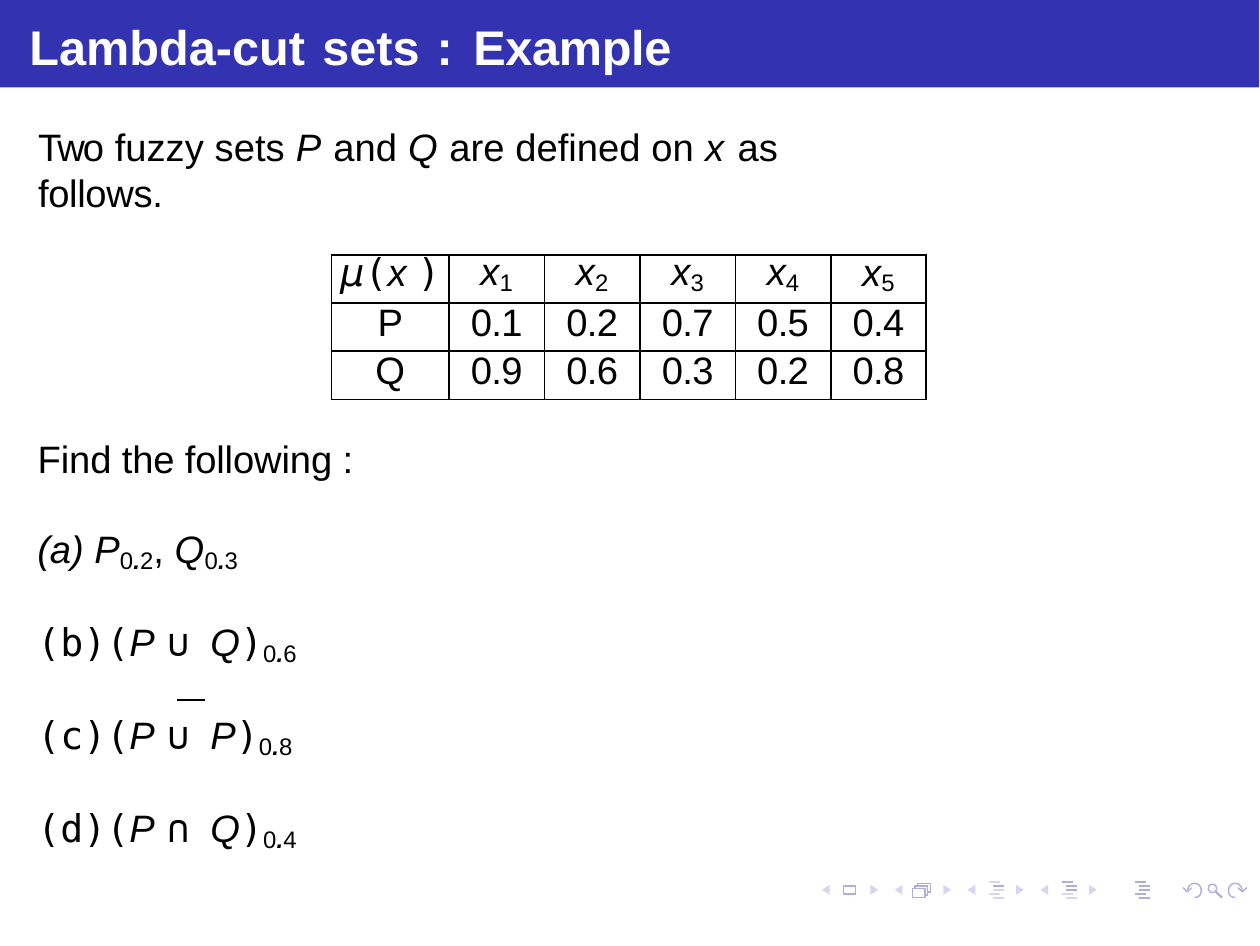
import pptx
import pptx.dml.color
import pptx.enum.shapes
import pptx.enum.text
import pptx.oxml
import pptx.oxml.ns
import pptx.util

Pt = pptx.util.Pt
RGBColor = pptx.dml.color.RGBColor

BLACK = RGBColor(0, 0, 0)
WHITE = RGBColor(255, 255, 255)
HEADER_BLUE = RGBColor(0x33, 0x33, 0xB2)
ICON_DARK = RGBColor(0xAD, 0xAD, 0xE0)
ICON_LIGHT = RGBColor(0xD6, 0xD6, 0xEF)
MONO = "DejaVu Sans Mono"
NAVIGATION_STEP = 21

MEMBERSHIP = [
    ("P", "0.1", "0.2", "0.7", "0.5", "0.4"),
    ("Q", "0.9", "0.6", "0.3", "0.2", "0.8"),
]
CUTS = [("P", "∪ ", "Q", "0.6"), ("P", "∪ ", "P", "0.8"), ("P", "∩ ", "Q", "0.4")]
TITLE = [("Lambda-cut", 0), (" ", 0.9), ("sets", 0), (" ", 0.9), (":", 0), (" ", 2),
         ("Example", -0.1)]
INTRODUCTION = [("Two", False, -0.6), (" fuzzy sets ", False, 0), ("P ", True, 0.4),
                ("and ", False, 0), ("Q ", True, 0.15), ("are defined on ", False, 0),
                ("x ", True, 0.4), ("as ", False, 0), ("follows.", False, -0.1)]


def append_xml(parent, tag, content="", attributes=""):
    namespace = pptx.oxml.ns.nsdecls("a")
    parent.append(pptx.oxml.parse_xml(f"<a:{tag} {namespace} {attributes}>{content}</a:{tag}>"))


def add_text(paragraph, text, size=11, font="Arial", color=BLACK, bold=False,
             italic=False, spacing=0, baseline=0):
    run = paragraph.add_run()
    run.text = text
    run.font.size = Pt(size)
    run.font.name = font
    run.font.color.rgb = color
    run.font.bold = bold
    run.font.italic = italic
    properties = run.font._element
    properties.set("spc", str(round(spacing * 100)))
    if baseline:
        properties.set("baseline", str(baseline * 1000))


def add_level(paragraph, level):
    whole, decimal = level.split(".")
    add_text(paragraph, whole, size=12, baseline=-14)
    add_text(paragraph, ".", size=12, baseline=-14, bold=True, italic=True)
    add_text(paragraph, decimal, size=12, baseline=-14)


def set_indent(paragraph, left, first=0):
    properties = paragraph._p.get_or_add_pPr()
    properties.set("marL", str(Pt(left)))
    properties.set("indent", str(Pt(first)))


def add_item(frame):
    paragraph = frame.add_paragraph()
    paragraph.space_before = Pt(11.7)
    set_indent(paragraph, 19.2, -16.4)
    properties = paragraph._p.get_or_add_pPr()
    append_xml(properties, "buAutoNum", attributes='type="alphaLcParenBoth"')
    append_xml(properties, "tabLst", f'<a:tab pos="{Pt(19.2)}" algn="l"/>')
    return paragraph


def add_text_box(slide, left, top, width, height, inset_top, indent, space_before):
    frame = slide.shapes.add_textbox(Pt(left), Pt(top), Pt(width), Pt(height)).text_frame
    frame.word_wrap = True
    frame.auto_size = pptx.enum.text.MSO_AUTO_SIZE.SHAPE_TO_FIT_TEXT
    frame.margin_left = frame.margin_right = frame.margin_bottom = 0
    frame.margin_top = Pt(inset_top)
    set_indent(frame.paragraphs[0], indent)
    frame.paragraphs[0].space_before = Pt(space_before)
    return frame


def format_shape(shape, fill=None, line=None, line_width=0.4):
    shape.shadow.inherit = False
    if fill is None:
        shape.fill.background()
    else:
        shape.fill.solid()
        shape.fill.fore_color.rgb = fill
    if line is None:
        shape.line.fill.background()
    else:
        shape.line.color.rgb = line
        shape.line.width = Pt(line_width)


def add_outline(slide, contours, close=False, **style):
    contours = [[(Pt(x), Pt(y)) for x, y in contour] for contour in contours]
    builder = slide.shapes.build_freeform(*contours[0][0])
    for number, contour in enumerate(contours):
        if number:
            builder.move_to(*contour[0])
        builder.add_line_segments(contour[1:], close=close)
    format_shape(builder.convert_to_shape(), **style)


def add_preset(slide, kind, left, top, width, height, **style):
    shape = slide.shapes.add_shape(kind, Pt(left), Pt(top), Pt(width), Pt(height))
    format_shape(shape, **style)


def add_line(slide, start_x, start_y, end_x, end_y, color, width):
    line = slide.shapes.add_connector(
        pptx.enum.shapes.MSO_CONNECTOR.STRAIGHT,
        Pt(start_x), Pt(start_y), Pt(end_x), Pt(end_y))
    line.line.color.rgb = color
    line.line.width = Pt(width)
    append_xml(line._element.spPr, "effectLst")


def add_pages_icon(slide, left=262.9, top=256, width=3.6, height=2.5):
    add_preset(slide, pptx.enum.shapes.MSO_SHAPE.RECTANGLE, left, top, width, height,
               line=ICON_DARK)
    corners = []
    for shift in (0.75, 1.5):
        x, y, right, bottom = left + shift, top - shift, left + width + shift, top + height - shift
        corners.append([(x, y + 0.75), (x, y), (right, y), (right, bottom), (right - 0.75, bottom)])
    add_outline(slide, corners, line=ICON_DARK)


def add_stripes_icon(slide, left, dark_rows):
    for row, shift in enumerate((0, 1.1, 1.1, 0, 1.1)):
        y = 254.2 + 1.1 * row
        color = ICON_DARK if row in dark_rows else ICON_LIGHT
        add_line(slide, left + shift, y, left + shift + 3.1, y, color, 0.6)


def add_navigation(slide):
    shapes = pptx.enum.shapes.MSO_SHAPE
    for number in range(4):
        left = 236.8 + NAVIGATION_STEP * number
        for base, tip in ((left + 2.2, left), (left + 14, left + 16.2)):
            add_outline(slide, [[(base, 254.9), (tip, 256.4), (base, 257.8)]],
                        close=True, fill=ICON_LIGHT)
    add_preset(slide, shapes.RECTANGLE, 243.1, 255.2, 3.4, 2.3, line=ICON_DARK)
    add_pages_icon(slide)
    for number, dark_rows in enumerate(((1,), (0, 1, 2), range(5))):
        add_stripes_icon(slide, 285 + NAVIGATION_STEP * number, dark_rows)
    add_preset(slide, shapes.OVAL, 348.1, 254.7, 2.4, 2.4, line=ICON_DARK)
    add_line(slide, 350.3, 256.9, 352.1, 258.6, ICON_DARK, 0.6)
    undo = [
        [(344.2, 258.5), (345.2, 258.3), (345.9, 257.6), (346.1, 256.5), (345.9, 255.5),
         (345.2, 254.7), (344.2, 254.4), (343.1, 254.7), (342.4, 255.5), (342.1, 256.5)],
        [(343.3, 255.7), (342.1, 256.9), (340.8, 255.7)],
    ]
    redo = [[(700 - x, y) for x, y in contour] for contour in undo]
    add_outline(slide, undo + redo, line=ICON_DARK)


def format_cell(cell):
    cell.margin_left = cell.margin_right = cell.margin_top = cell.margin_bottom = 0
    properties = cell._tc.get_or_add_tcPr()
    for side in ("lnL", "lnR", "lnT", "lnB"):
        append_xml(properties, side, f'<a:solidFill><a:srgbClr val="{BLACK}"/></a:solidFill>',
                   f'w="{Pt(0.5)}"')
    cell.fill.background()
    paragraph = cell.text_frame.paragraphs[0]
    paragraph.alignment = pptx.enum.text.PP_ALIGN.CENTER
    paragraph.line_spacing = Pt(11.9)
    return paragraph


def add_membership_table(slide):
    table = slide.shapes.add_table(3, 6, Pt(95.5), Pt(73.4), Pt(171.4), Pt(41.7)).table
    table.first_row = table.horz_banding = False
    for number, column in enumerate(table.columns):
        column.width = Pt(27.5 if number else 33.9)
    for row in table.rows:
        row.height = Pt(13.9)
    heading, *variables = [format_cell(cell) for cell in table.rows[0].cells]
    add_text(heading, "µ", font="DejaVu Sans", italic=True)
    add_text(heading, "(", font=MONO)
    add_text(heading, "x ", italic=True)
    add_text(heading, ")", font=MONO, spacing=0.1)
    for number, paragraph in enumerate(variables, 1):
        add_text(paragraph, "x", italic=True, spacing=-0.2)
        add_text(paragraph, str(number), size=12, spacing=-0.4, baseline=-10 if number == 5 else -14)
    for row, values in enumerate(MEMBERSHIP, 1):
        for cell, value in zip(table.rows[row].cells, values):
            add_text(format_cell(cell), value, spacing=-0.2)


def add_questions(slide):
    frame = add_text_box(slide, 8, 124.6, 96.5, 114.5, 0.9, 2.9, 0.9)
    add_text(frame.paragraphs[0], "Find the following :", spacing=-0.05)
    first = add_item(frame)
    add_text(first, "P", italic=True)
    add_level(first, "0.2")
    add_text(first, ", ")
    add_text(first, "Q", italic=True, spacing=-0.2)
    add_level(first, "0.3")
    for left_set, operator, right_set, level in CUTS:
        paragraph = add_item(frame)
        add_text(paragraph, "(", font=MONO)
        add_text(paragraph, left_set + " ", italic=True, spacing=0.4)
        add_text(paragraph, operator, font=MONO, spacing=-0.8)
        add_text(paragraph, right_set, italic=True, spacing=-0.1)
        add_text(paragraph, ")", font=MONO, spacing=-0.1)
        add_level(paragraph, level)


def main():
    presentation = pptx.Presentation()
    presentation.slide_width, presentation.slide_height = Pt(363), Pt(272.5)
    slide = presentation.slides.add_slide(presentation.slide_layouts[6])
    add_navigation(slide)
    add_preset(slide, pptx.enum.shapes.MSO_SHAPE.RECTANGLE, 0, 0, 362.84, 25.2, fill=HEADER_BLUE)
    title = add_text_box(slide, 7.5, 3.7, 347.8, 19.5, 1.2, 1, 1.4).paragraphs[0]
    for text, spacing in TITLE:
        add_text(title, text, size=14, color=WHITE, bold=True, spacing=spacing)
    introduction = add_text_box(slide, 10, 34.8, 252, 15.1, 0.8, 1, 0.9).paragraphs[0]
    for text, italic, spacing in INTRODUCTION:
        add_text(introduction, text, italic=italic, spacing=spacing)
    add_membership_table(slide)
    add_line(slide, 51, 201.7, 59, 201.7, BLACK, 0.44)
    add_questions(slide)
    presentation.save("out.pptx")


if __name__ == "__main__":
    main()
